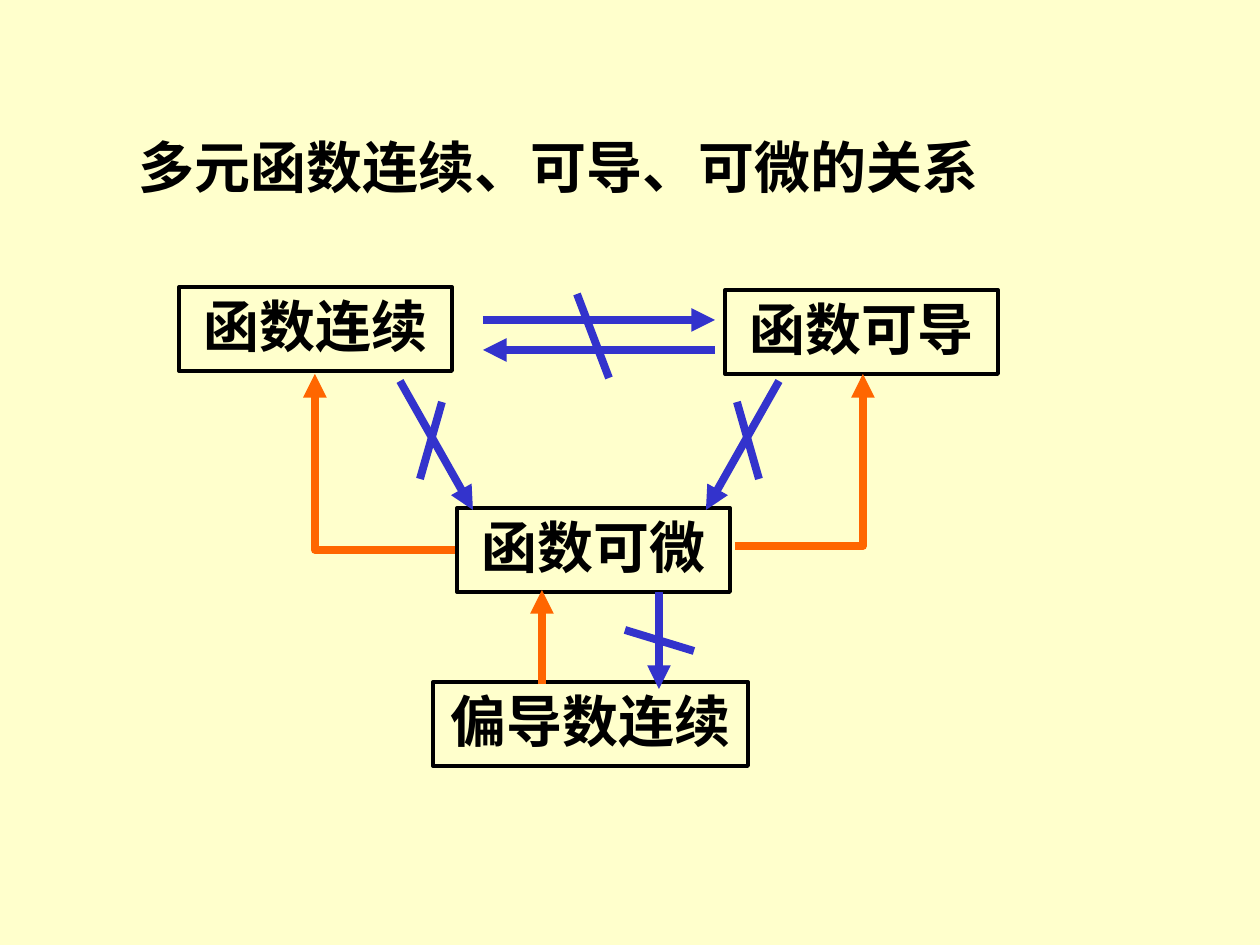
import pptx
import pptx.util
import pptx.dml.color
import pptx.enum.shapes
import pptx.enum.text
import pptx.oxml.ns
from dataclasses import dataclass

PX = 914400 // 126
SHAPE = pptx.enum.shapes.MSO_SHAPE.RECTANGLE
CONNECTOR = pptx.enum.shapes.MSO_CONNECTOR
ANCHOR = pptx.enum.text.MSO_ANCHOR
ALIGN = pptx.enum.text.PP_ALIGN


@dataclass
class Theme:
    background: str = "FFFFCC"
    ink: str = "000000"
    implies: str = "FF6600"
    fails: str = "3333CC"
    font: str = "Times New Roman"
    text_size: int = 32
    box_line: float = 2.25
    arrow_line: float = 4.5


def rgb(value):
    return pptx.dml.color.RGBColor.from_string(value)


def add_element(parent, tag, **attributes):
    parent.append(parent.makeelement(pptx.oxml.ns.qn(tag), attributes))


class Diagram:
    def __init__(self, prs, theme):
        self.theme = theme
        self.s = prs.slides.add_slide(prs.slide_layouts[5])
        fill = self.s.background.fill
        fill.solid()
        fill.fore_color.rgb = rgb(theme.background)

    def set_text(self, sp, text, align, **frame):
        tf = sp.text_frame
        for name, value in frame.items():
            setattr(tf, name, value)
        p = tf.paragraphs[0]
        p.alignment = align
        r = p.add_run()
        r.text = text
        font = {"name": self.theme.font, "bold": True,
                "size": pptx.util.Pt(self.theme.text_size)}
        for name, value in font.items():
            setattr(r.font, name, value)
        r.font.color.rgb = rgb(self.theme.ink)

    def title(self, text, x, y, w, h):
        sp = self.s.shapes.title
        place = {"left": x, "top": y, "width": w, "height": h}
        for name, value in place.items():
            setattr(sp, name, value * PX)
        self.set_text(sp, text, ALIGN.LEFT, word_wrap=True,
                      vertical_anchor=ANCHOR.TOP,
                      auto_size=pptx.enum.text.MSO_AUTO_SIZE.NONE)

    def box(self, text, x, y, w, h=84):
        sp = self.s.shapes.add_shape(SHAPE, x * PX, y * PX, w * PX, h * PX)
        sp.shadow.inherit = False
        sp.fill.background()
        sp.line.color.rgb = rgb(self.theme.ink)
        sp.line.width = pptx.util.Pt(self.theme.box_line)
        self.set_text(sp, text, ALIGN.CENTER, word_wrap=False,
                      vertical_anchor=ANCHOR.MIDDLE,
                      margin_top=0, margin_bottom=8 * PX)

    def line(self, start, end, color, arrow=False, kind=CONNECTOR.STRAIGHT):
        ends = [v * PX for v in (*start, *end)]
        c = self.s.shapes.add_connector(kind, *ends)
        c.line.color.rgb = rgb(color)
        c.line.width = pptx.util.Pt(self.theme.arrow_line)
        sp_pr = c._element.spPr
        if arrow:
            add_element(sp_pr.find(pptx.oxml.ns.qn("a:ln")), "a:tailEnd",
                        type="triangle")
        add_element(sp_pr, "a:effectLst")
        return c

    def elbow(self, start, end, color):
        # One bend: sideways first, then up
        c = self.line(start, end, color, True, CONNECTOR.ELBOW)
        geometry = c._element.spPr.find(pptx.oxml.ns.qn("a:prstGeom"))
        geometry.set("prst", "bentConnector2")


def main():
    prs = pptx.Presentation()
    prs.slide_width, prs.slide_height = 1260 * PX, 945 * PX
    theme = Theme()
    d = Diagram(prs, theme)
    d.title("多元函数连续、可导、可微的关系", 126, 126, 1029, 81)

    # Properties of the function
    d.box("函数连续", 179, 287, 273)
    d.box("函数可导", 725, 290, 273)
    d.box("函数可微", 457, 508, 273)
    d.box("偏导数连续", 433, 682, 315)

    # Implications that fail
    for start, end in [((483, 320), (715, 320)), ((715, 350), (483, 350)),
                       ((400, 381), (473, 510)), ((779, 381), (706, 510)),
                       ((659, 592), (659, 689))]:
        d.line(start, end, theme.fails, arrow=True)

    # Strokes that cross them out
    for start, end in [((577, 294), (609, 378)), ((442, 402), (420, 479)),
                       ((737, 402), (759, 479)), ((625, 630), (694, 651))]:
        d.line(start, end, theme.fails)

    # Implications that hold
    d.elbow((455, 550), (315, 374), theme.implies)
    d.elbow((735, 546), (863, 374), theme.implies)
    d.line((542, 684), (542, 590), theme.implies, arrow=True)

    prs.save("out.pptx")


if __name__ == "__main__":
    main()
